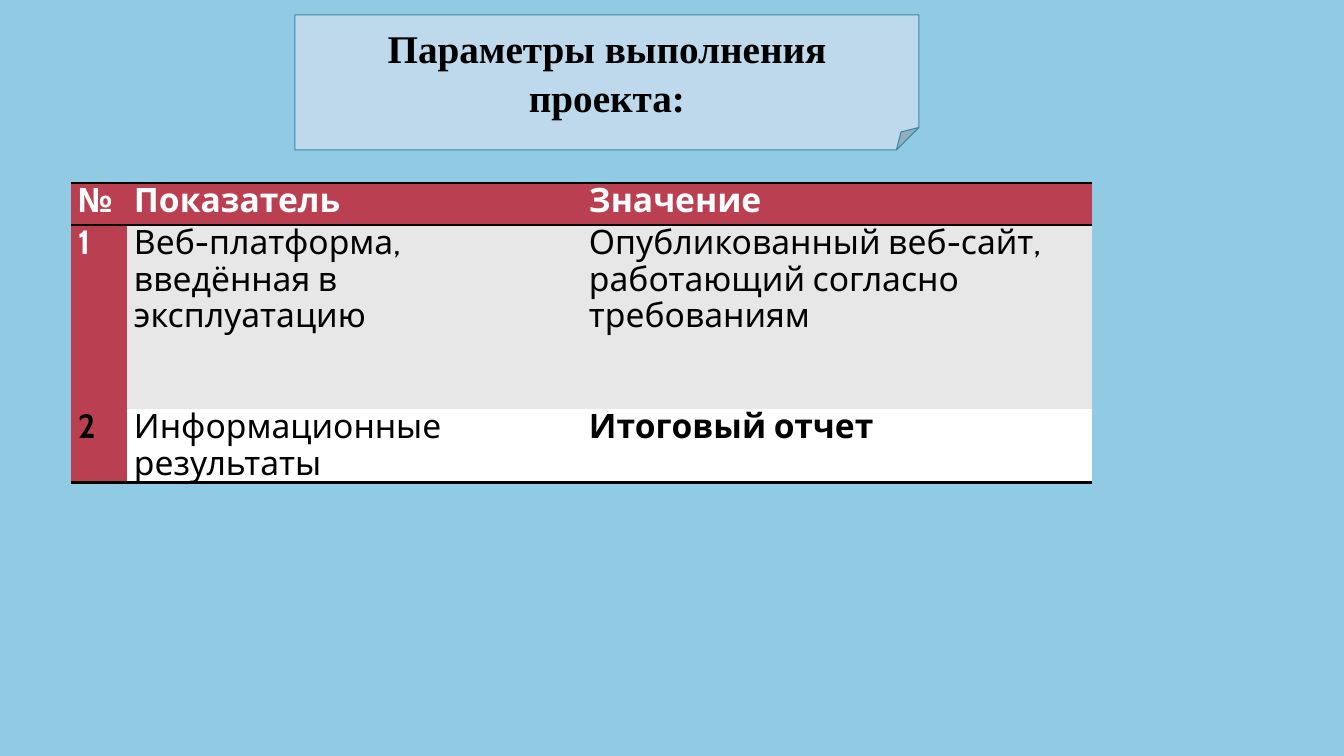
from pptx import Presentation
from pptx.dml.color import RGBColor
from pptx.enum.shapes import MSO_SHAPE as Shape
from pptx.enum.text import MSO_ANCHOR as Anchor, PP_ALIGN as Align
from pptx.oxml import parse_xml
from pptx.oxml.ns import nsdecls
from pptx.util import Pt

TITLE = "Параметры выполнения проекта:"
ROWS = [
    ("№", "Показатель", "Значение"),
    ("1", "Веб-платформа, введённая в эксплуатацию",
     "Опубликованный веб-сайт, работающий согласно требованиям"),
    ("2", "Информационные результаты", "Итоговый отчет"),
]
BOLD_BODY = {(2, 2)}
DARK_NUMBERS = {(2, 0)}

THEME = {
    "sky": "91CBE3", "note": "BDD9EB", "note_line": "3A87A7",
    "accent": "BA3F51", "bands": ("E7E7E7", "FFFFFF"),
    "light": "FFFFFF", "dark": "000000",
    "title_font": "Times New Roman", "table_font": "Cabin",
    "title_size": 28, "table_size": 24, "rule": 2, "outline": 0.75,
}
SCALE = 914400 / 100.8
SLIDE = (1344, 756)
NOTE = (295, 15, 624, 135)
TABLE_AT = (71, 183)
COLUMNS = (56, 455, 510)
HEIGHTS = (42, 184, 46)


def px(length):
    return round(length * SCALE)


def colour(name):
    return RGBColor.from_string(name)


def paint(target, name):
    target.fill.solid()
    target.fill.fore_color.rgb = colour(name)


def write(frame, text, ink, font, paragraph, margins):
    for name, value in margins.items():
        setattr(frame, name, value)
    para = frame.paragraphs[0]
    for name, value in paragraph.items():
        setattr(para, name, value)
    span = para.add_run()
    span.text = text
    for name, value in font.items():
        setattr(span.font, name, value)
    span.font.color.rgb = colour(ink)


def set_borders(cell, ruled):
    properties = cell._tc.get_or_add_tcPr()
    for index, side in enumerate("LRTB"):
        fill = "<a:noFill/>"
        if side in ruled:
            fill = f'<a:solidFill><a:srgbClr val="{THEME["dark"]}"/></a:solidFill>'
        properties.insert(index, parse_xml(
            f'<a:ln{side} {nsdecls("a")} w="{Pt(THEME["rule"])}">{fill}</a:ln{side}>'))


deck = Presentation()
deck.slide_width, deck.slide_height = map(px, SLIDE)
page = deck.slides.add_slide(deck.slide_layouts[6])
paint(page.background, THEME["sky"])

note = page.shapes.add_shape(Shape.FOLDED_CORNER, *map(px, NOTE))
note.shadow.inherit = False
paint(note, THEME["note"])
note.line.color.rgb = colour(THEME["note_line"])
note.line.width = Pt(THEME["outline"])
write(note.text_frame, TITLE, THEME["dark"],
      {"name": THEME["title_font"], "size": Pt(THEME["title_size"]), "bold": True},
      {"alignment": Align.CENTER, "line_spacing": 1.05},
      {"word_wrap": True, "vertical_anchor": Anchor.MIDDLE,
       "margin_left": px(40), "margin_right": px(40)})

table = page.shapes.add_table(
    len(ROWS), len(COLUMNS), *map(px, (*TABLE_AT, sum(COLUMNS), sum(HEIGHTS)))).table
for column, width in zip(table.columns, COLUMNS):
    column.width = px(width)
for row, height in zip(table.rows, HEIGHTS):
    row.height = px(height)

cell_margins = {"margin_left": px(7), "margin_right": px(7),
                "margin_top": 0, "margin_bottom": 0}
for r, texts in enumerate(ROWS):
    ruled = {0: "TB", 1: "T", len(ROWS) - 1: "B"}.get(r, "")
    for c, text in enumerate(texts):
        cell = table.cell(r, c)
        heading = r == 0 or c == 0
        ink = THEME["light" if heading and (r, c) not in DARK_NUMBERS else "dark"]
        for name, value in cell_margins.items():
            setattr(cell, name, value)
        write(cell.text_frame, text, ink,
              {"name": THEME["table_font"], "size": Pt(THEME["table_size"]),
               "bold": heading or (r, c) in BOLD_BODY},
              {"alignment": Align.LEFT, "line_spacing": 0.9}, {})
        paint(cell, THEME["accent"] if heading else THEME["bands"][r - 1])
        set_borders(cell, ruled)

deck.save("out.pptx")
